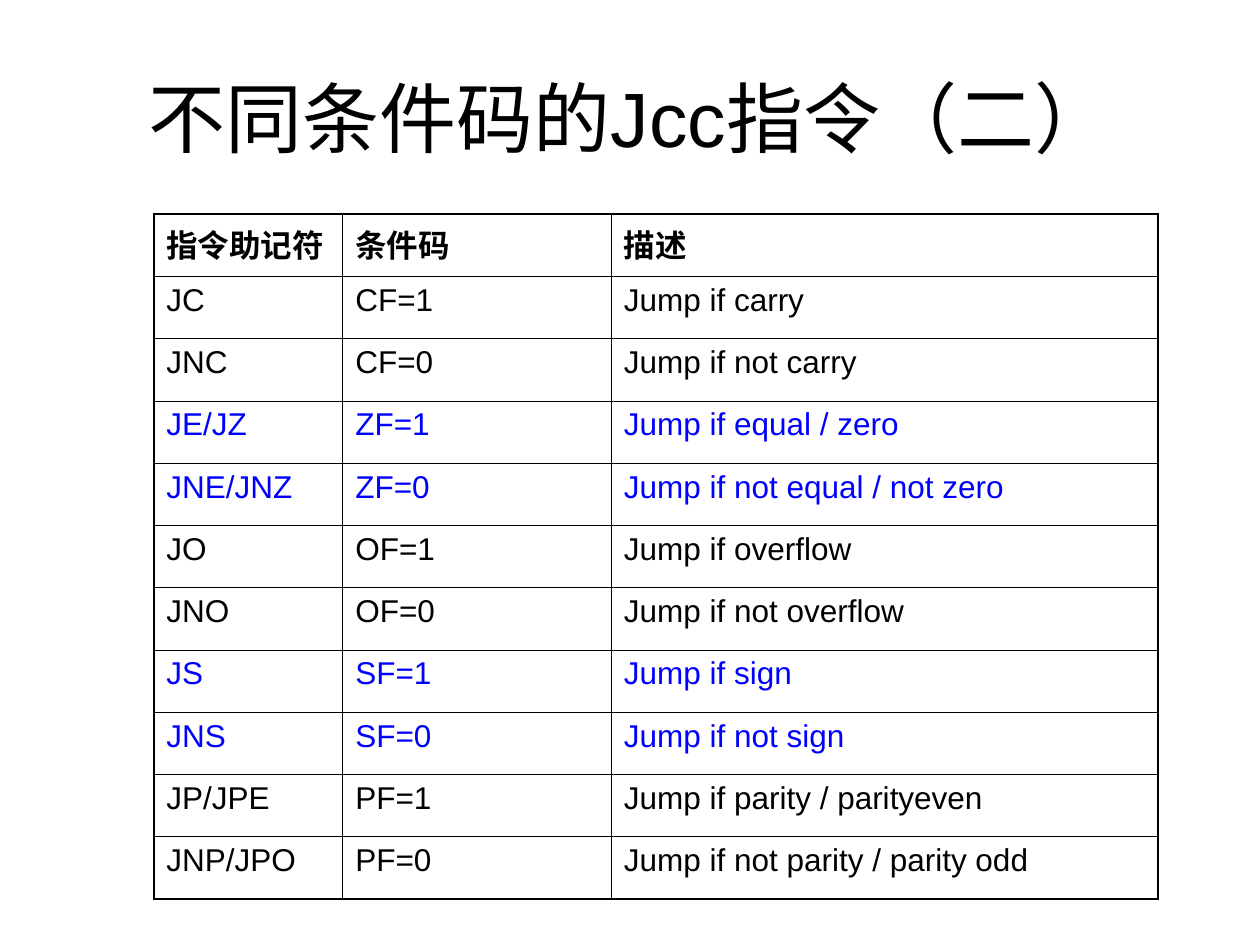
from lxml import etree
from pptx import Presentation
from pptx.dml.color import RGBColor
from pptx.enum.text import MSO_ANCHOR, PP_ALIGN
from pptx.oxml.ns import qn
from pptx.util import Pt

BLACK = RGBColor(0, 0, 0)
BLUE = RGBColor(0, 0, 255)
FONT = "Arial"
MIDDLE = MSO_ANCHOR.MIDDLE
TOP = MSO_ANCHOR.TOP
CENTER = PP_ALIGN.CENTER
THIN, THICK = 0.45, 1.08
COL_WIDTHS = [108, 153.4, 312.4]
ROW_HEIGHT = 35.6
ROWS = [
    ("指令助记符", "条件码", "描述"),
    ("JC", "CF=1", "Jump if carry"),
    ("JNC", "CF=0", "Jump if not carry"),
    ("JE/JZ", "ZF=1", "Jump if equal / zero"),
    ("JNE/JNZ", "ZF=0", "Jump if not equal / not zero"),
    ("JO", "OF=1", "Jump if overflow"),
    ("JNO", "OF=0", "Jump if not overflow"),
    ("JS", "SF=1", "Jump if sign"),
    ("JNS", "SF=0", "Jump if not sign"),
    ("JP/JPE", "PF=1", "Jump if parity / parityeven"),
    ("JNP/JPO", "PF=0", "Jump if not parity / parity odd"),
]
BLUE_ROWS = {3, 4, 7, 8}


def add_run(p, text, size, color, bold=False):
    r = p.add_run()
    r.text = text
    r.font.name = FONT
    r.font.size = Pt(size)
    r.font.bold = bold
    r.font.color.rgb = color


def set_borders(cell, widths):
    tc_pr = cell._tc.get_or_add_tcPr()
    for i, (side, width) in enumerate(widths.items()):
        ln = etree.Element(qn(f"a:ln{side}"), w=str(int(Pt(width))))
        fill = etree.SubElement(ln, qn("a:solidFill"))
        etree.SubElement(fill, qn("a:srgbClr"), val=str(BLACK))
        tc_pr.insert(i, ln)


prs = Presentation()
prs.slide_width, prs.slide_height = Pt(720), Pt(540)
s = prs.slides.add_slide(prs.slide_layouts[6])

title = s.shapes.add_textbox(Pt(36), Pt(21.6), Pt(648), Pt(90))
tf = title.text_frame
tf.word_wrap = True
tf.vertical_anchor = MIDDLE
p = tf.paragraphs[0]
p.alignment = CENTER
add_run(p, "不同条件码的Jcc指令（二）", 44, BLACK)

table = s.shapes.add_table(
    len(ROWS), len(COL_WIDTHS), Pt(87.9), Pt(122.4),
    Pt(sum(COL_WIDTHS)), Pt(ROW_HEIGHT * len(ROWS)),
).table
table.first_row = False
table.horz_banding = False
for column, width in zip(table.columns, COL_WIDTHS):
    column.width = Pt(width)

last_row, last_col = len(ROWS) - 1, len(COL_WIDTHS) - 1
for i, row in enumerate(ROWS):
    table.rows[i].height = Pt(ROW_HEIGHT)
    for j, text in enumerate(row):
        cell = table.cell(i, j)
        cell.fill.background()
        cell.vertical_anchor = TOP
        p = cell.text_frame.paragraphs[0]
        p.space_before = Pt(4.5)
        add_run(p, text, 18, BLUE if i in BLUE_ROWS else BLACK, i == 0)
        set_borders(cell, {
            "L": THICK if j == 0 else THIN,
            "R": THICK if j == last_col else THIN,
            "T": THICK if i == 0 else THIN,
            "B": THICK if i == last_row else THIN,
        })

prs.save("out.pptx")
